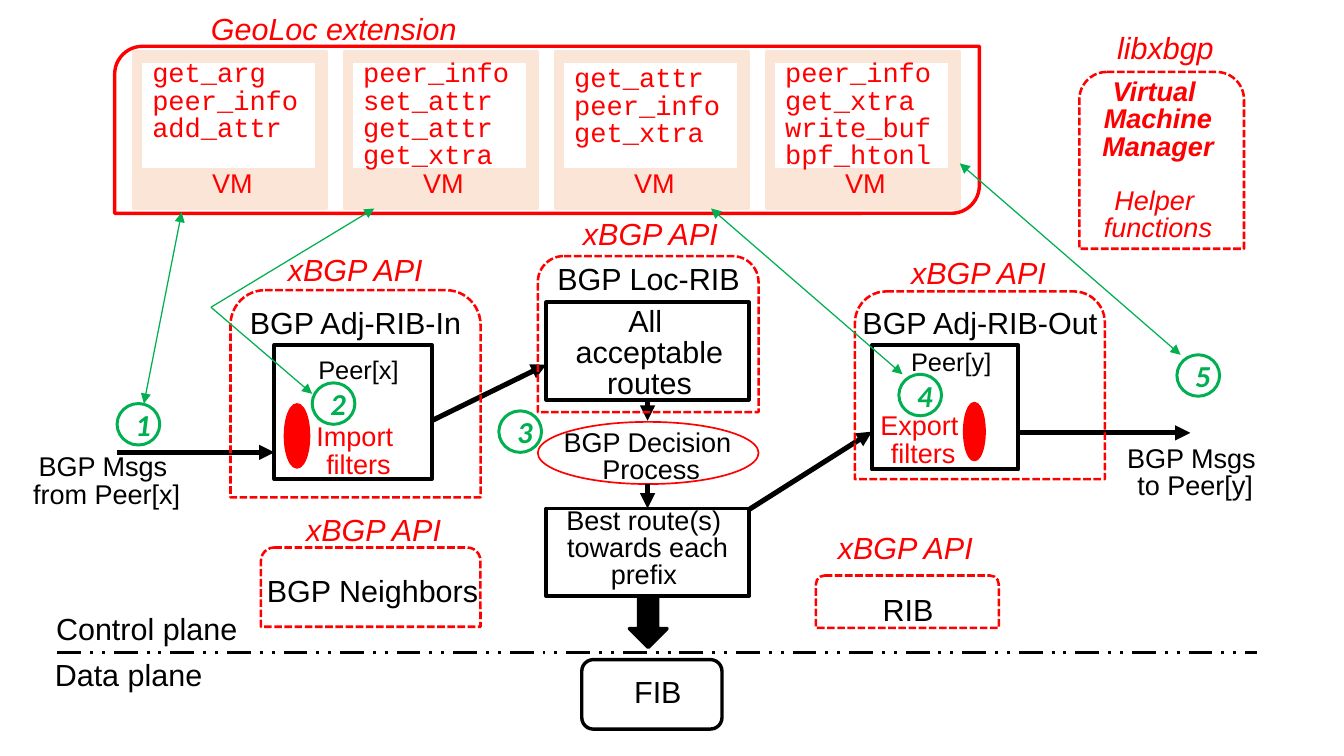
from lxml import etree
from pptx import Presentation
from pptx.dml.color import RGBColor
from pptx.enum.dml import MSO_LINE
from pptx.enum.shapes import MSO_CONNECTOR, MSO_SHAPE
from pptx.enum.text import MSO_ANCHOR, PP_ALIGN
from pptx.oxml.ns import qn
from pptx.util import Inches, Pt

COLORS = {"black": "000000", "white": "FFFFFF", "red": "FF0000",
          "green": "00B050", "peach": "FBE5D6"}
CENTER, LEFT = PP_ALIGN.CENTER, PP_ALIGN.LEFT
TEXT_HEIGHT = 0.21
SLACK = 0.4  # extra label width that keeps each line whole


def color(name):
    return RGBColor.from_string(COLORS[name])


def write(frame, text, size=18, font="Arial", ink="black", bold=False, italic=False,
          align=LEFT, anchor=MSO_ANCHOR.MIDDLE, spacing=0.84, insets=(0, 0, 0, 0)):
    """Fill a text frame with one paragraph per line of text."""
    frame.word_wrap = True
    frame.vertical_anchor = anchor
    (frame.margin_left, frame.margin_top,
     frame.margin_right, frame.margin_bottom) = map(Inches, insets)
    for index, line in enumerate(text.split("\n")):
        paragraph = frame.add_paragraph() if index else frame.paragraphs[0]
        paragraph.alignment = align
        paragraph.line_spacing = spacing
        run = paragraph.add_run()
        run.text = line
        run.font.size = Pt(size)
        run.font.name = font
        run.font.bold = bold
        run.font.italic = italic
        run.font.color.rgb = color(ink)


def label(slide, text, left, top, width, height=TEXT_HEIGHT, align=LEFT, **style):
    if align == CENTER:
        left -= SLACK / 2
    box = slide.shapes.add_textbox(*map(Inches, (left, top, width + SLACK, height)))
    write(box.text_frame, text, align=align, **style)
    return box


def block(slide, kind, left, top, width, height, fill=None, line="black",
          weight=2.0, dash=None):
    shape = slide.shapes.add_shape(kind, *map(Inches, (left, top, width, height)))
    shape.shadow.inherit = False
    if fill:
        shape.fill.solid()
        shape.fill.fore_color.rgb = color(fill)
    else:
        shape.fill.background()
    shape.line.color.rgb = color(line)
    shape.line.width = Pt(weight)
    if dash:
        shape.line.dash_style = dash
    return shape


def link(slide, start, end, ink="black", weight=3.0, ends=("tailEnd",), dash=None):
    """Straight line with a triangle at each of the named ends."""
    line = slide.shapes.add_connector(MSO_CONNECTOR.STRAIGHT,
                                      *map(Inches, (*start, *end)))
    line.line.color.rgb = color(ink)
    line.line.width = Pt(weight)
    if dash:
        line.line.dash_style = dash
    properties = line._element.spPr
    for end_tag in ends:
        etree.SubElement(properties.find(qn("a:ln")), qn("a:" + end_tag), type="triangle")
    etree.SubElement(properties, qn("a:effectLst"))


def virtual_machine(slide, left, code, drop):
    block(slide, MSO_SHAPE.RECTANGLE, left, 0.42, 1.58, 1.29, "peach", "peach")
    calls = block(slide, MSO_SHAPE.RECTANGLE, left + 0.05, 0.5, 1.45, 0.89,
                  "white", "peach")
    write(calls.text_frame, code, size=16, font="Courier New", ink="red",
          anchor=MSO_ANCHOR.TOP, insets=(0.1, drop, 0.1, 0))
    label(slide, "VM", left + 0.64, 1.43, 0.28, 0.18, size=16, ink="red")


def api_zone(slide, left, top, width, height):
    block(slide, MSO_SHAPE.ROUND_2_SAME_RECTANGLE, left, top, width, height,
          line="red", weight=1.5, dash=MSO_LINE.SQUARE_DOT)


def step(slide, number, left, top):
    circle = block(slide, MSO_SHAPE.OVAL, left, top, 0.35, 0.34,
                   line="green", weight=1.76)
    write(circle.text_frame, str(number), font="Calibri", ink="green", bold=True,
          italic=True, align=CENTER, spacing=1.0, insets=(0.1, 0.05, 0.1, 0.05))


def main():
    prs = Presentation()
    prs.slide_width, prs.slide_height = Inches(11.02), Inches(6.2)
    slide = prs.slides.add_slide(prs.slide_layouts[6])

    # GeoLoc extension with its virtual machines
    programs = [("get_arg\npeer_info\nadd_attr", 0),
                ("peer_info\nset_attr\nget_attr\nget_xtra", 0),
                ("get_attr\npeer_info\nget_xtra", 0.04),
                ("peer_info\nget_xtra\nwrite_buf\nbpf_htonl", 0)]
    for index, (code, drop) in enumerate(programs):
        virtual_machine(slide, 1.1 + 1.73 * index, code, drop)
    block(slide, MSO_SHAPE.ROUND_2_DIAG_RECTANGLE, 0.94, 0.38, 7.09, 1.37, line="red")
    label(slide, "GeoLoc extension", 1.73, 0.15, 1.75, ink="red", italic=True)

    # RIB boxes
    for box in [(2.25, 2.83, 1.29, 1.1), (4.48, 2.48, 1.66, 0.8),
                (7.15, 2.83, 1.2, 1.02), (4.48, 4.17, 1.66, 0.72)]:
        block(slide, MSO_SHAPE.RECTANGLE, *box, fill="white", weight=2.3)
    block(slide, MSO_SHAPE.OVAL, 4.41, 3.46, 1.81, 0.51, line="red", weight=1)

    # Import and export filters
    for filter_oval in [(2.34, 3.32, 0.19, 0.51), (7.91, 3.31, 0.16, 0.46)]:
        block(slide, MSO_SHAPE.OVAL, *filter_oval, fill="red", line="red")
    label(slide, "Import \nfilters", 2.64, 3.53, 0.6, 0.36, size=16, ink="red", align=CENTER)
    label(slide, "Export \nfilters", 7.31, 3.46, 0.52, 0.32, size=16, ink="red", align=CENTER)

    # Route flow
    for start, end in [((0.96, 3.71), (2.25, 3.71)), ((3.54, 3.45), (4.48, 2.99)),
                       ((5.31, 3.28), (5.31, 3.45)), ((5.31, 3.97), (5.31, 4.17)),
                       ((6.14, 4.18), (7.15, 3.54)), ((8.35, 3.55), (9.76, 3.55))]:
        link(slide, start, end)
    block(slide, MSO_SHAPE.DOWN_ARROW, 5.16, 4.9, 0.31, 0.41, fill="black")

    # Control plane and data plane
    link(slide, (0.47, 5.35), (10.31, 5.35), weight=1.76, ends=(),
         dash=MSO_LINE.DASH_DOT_DOT)
    block(slide, MSO_SHAPE.ROUNDED_RECTANGLE, 4.77, 5.41, 1.15, 0.57)
    label(slide, "Control plane", 0.46, 5.07, 1.22)
    label(slide, "Data plane", 0.45, 5.45, 1)
    label(slide, "FIB", 5.2, 5.59, 0.32)

    # Names of the tables
    label(slide, "BGP Loc-RIB", 4.57, 2.2, 1.49)
    for text, left, top, width in [("BGP Adj-RIB-In", 1.89, 2.56, 2.05),
                                   ("BGP Adj-RIB-Out", 7.01, 2.56, 2.05),
                                   ("BGP Neighbors", 2.34, 4.76, 1.43),
                                   ("RIB", 6.7, 4.92, 1.49)]:
        label(slide, text, left, top, width, align=CENTER)
    label(slide, "All \nacceptable\nroutes", 4.73, 2.59, 1.19, 0.63, align=CENTER)
    label(slide, "Peer[x]", 2.61, 2.95, 0.65, 0.19, size=15)
    label(slide, "Peer[y]", 7.47, 2.9, 0.65, 0.17, size=15)

    # Messages and decision steps
    for text, left, top, width, height in [
            ("BGP Msgs \nfrom Peer[x]", 0.44, 3.78, 0.87, 0.35),
            ("BGP Msgs \nto Peer[y]", 9.21, 3.71, 1.18, 0.35),
            ("BGP Decision \nProcess", 4.66, 3.58, 1.36, 0.35),
            ("Best route(s) \ntowards each\nprefix ", 4.48, 4.23, 1.66, 0.55)]:
        label(slide, text, left, top, width, height, size=16, align=CENTER)

    # xBGP API zones
    for zone in [(1.89, 2.38, 2.05, 1.7), (4.41, 2.1, 1.81, 1.28),
                 (7.01, 2.39, 2.05, 1.54), (2.14, 4.49, 1.8, 0.65),
                 (6.69, 4.72, 1.5, 0.43)]:
        api_zone(slide, *zone)
    for left, top in [(2.36, 2.13), (4.78, 1.83), (7.47, 2.15), (2.51, 4.26), (6.87, 4.41)]:
        label(slide, "xBGP API", left, top, 1.12, ink="red", italic=True)

    # libxbgp
    api_zone(slide, 8.85, 0.59, 1.35, 1.45)
    label(slide, "libxbgp", 9.16, 0.29, 0.65, 0.24, ink="red", italic=True)
    parts = label(slide, "Virtual \nMachine\nManager\nHelper \nfunctions", 9.12, 0.68,
                  0.75, 1.29, size=16, ink="red", bold=True, italic=True, align=CENTER)
    helper_lines = parts.text_frame.paragraphs[3:]
    helper_lines[0].space_before = Pt(16)
    for line in helper_lines:
        line.runs[0].font.bold = False

    # Links from the virtual machines to the numbered steps
    both, first = ("headEnd", "tailEnd"), ("headEnd",)
    bend = (1.73, 2.52)
    for start, end, ends in [((1.49, 1.74), (1.18, 3.31), both),
                             ((3.07, 1.71), bend, first),
                             ((2.56, 3.23), bend, first),
                             ((5.83, 1.71), (7.4, 3.07), both),
                             ((7.87, 1.34), (9.68, 2.91), both)]:
        link(slide, start, end, ink="green", weight=0.75, ends=ends)
    steps = [(0.96, 3.31), (2.56, 3.14), (4.09, 3.37), (7.37, 3.07), (9.65, 2.91)]
    for number, (left, top) in enumerate(steps, start=1):
        step(slide, number, left, top)

    prs.save("out.pptx")


main()
